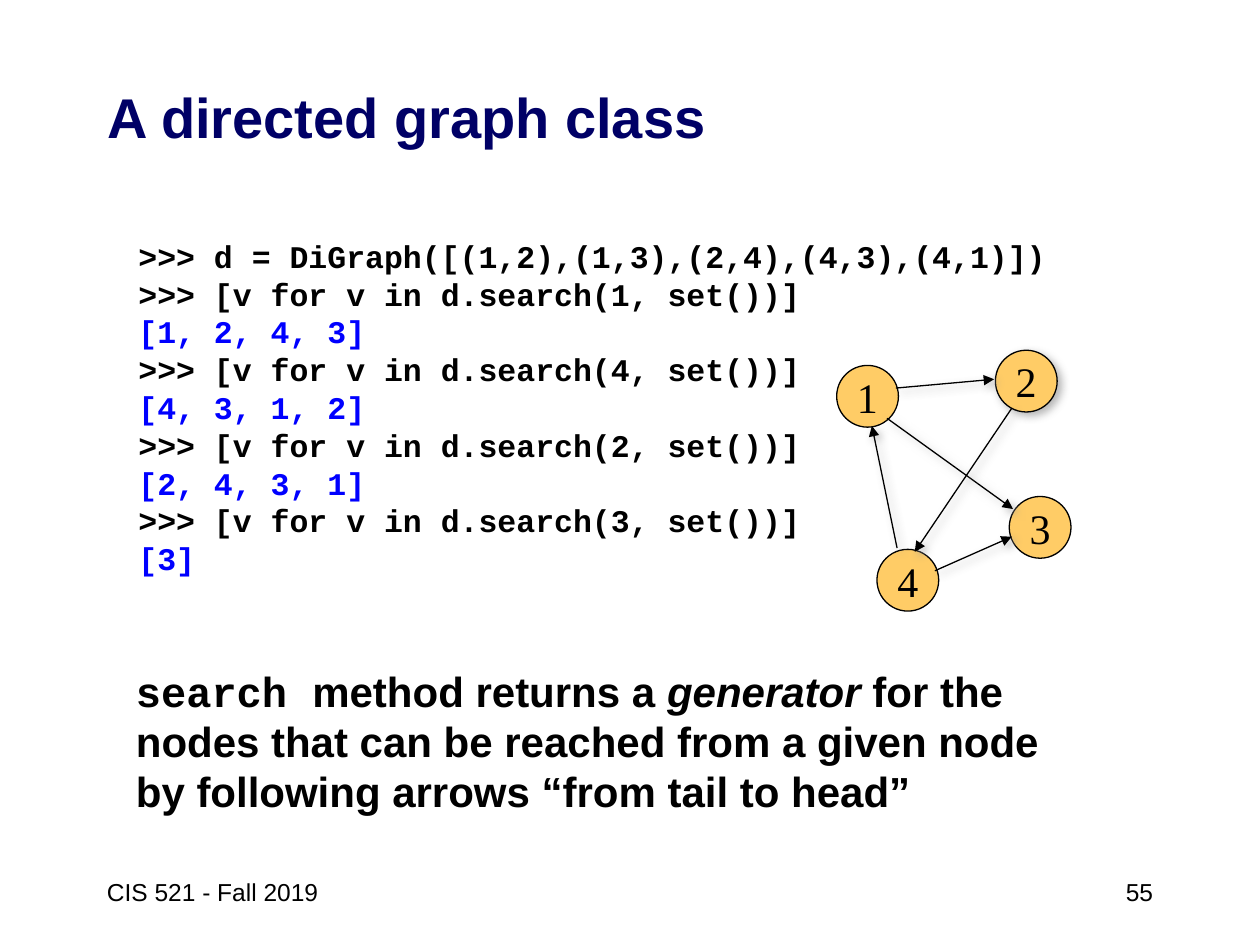
from lxml.etree import SubElement
from pptx import Presentation
from pptx.dml.color import RGBColor
from pptx.enum.shapes import MSO_CONNECTOR, MSO_SHAPE
from pptx.enum.text import MSO_ANCHOR, PP_ALIGN
from pptx.oxml import parse_xml
from pptx.oxml.ns import nsdecls, qn
from pptx.util import Inches, Pt

SHADE = (
    f'<a:effectLst {nsdecls("a")}><a:outerShdw blurRad="63500" dist="38100" '
    'dir="2700000"><a:srgbClr val="9F9F9F"><a:alpha val="75000"/></a:srgbClr>'
    "</a:outerShdw></a:effectLst>"
)
NODES = {"1": (6.64, 2.9), "3": (8.01, 3.94), "4": (6.96, 4.36), "2": (7.9, 2.78)}
EDGES = [
    (7.11, 3.08, 7.89, 3.01),
    (7.04, 3.32, 8.04, 4.04),
    (8.03, 3.24, 7.26, 4.38),
    (7.42, 4.53, 8.03, 4.26),
    (7.12, 4.35, 6.92, 3.38),
]
CODE = [
    ">>> d = DiGraph([(1,2),(1,3),(2,4),(4,3),(4,1)])",
    ">>> [v for v in d.search(1, set())]",
    "[1, 2, 4, 3]",
    ">>> [v for v in d.search(4, set())]",
    "[4, 3, 1, 2]",
    ">>> [v for v in d.search(2, set())]",
    "[2, 4, 3, 1]",
    ">>> [v for v in d.search(3, set())]",
    "[3]",
]


def color(code):
    return RGBColor.from_string(code)


def add_run(para, text, size, face="Arial", tint="000000", bold=False, slant=False):
    run = para.add_run()
    run.text = text
    font = run.font
    font.size, font.name, font.bold, font.italic = Pt(size), face, bold, slant
    font.color.rgb = color(tint)


def add_box(slide, *area):
    frame = slide.shapes.add_textbox(*map(Inches, area)).text_frame
    frame.word_wrap = True
    return frame


def add_title(slide, text):
    title = slide.shapes.title
    title.left, title.top = Inches(0.75), Inches(0.67)
    title.width, title.height = Inches(8.5), Inches(0.5)
    frame = title.text_frame
    frame.vertical_anchor = MSO_ANCHOR.MIDDLE
    para = frame.paragraphs[0]
    para.alignment = PP_ALIGN.LEFT
    add_run(para, text, 32, tint="000066", bold=True)


def add_code(slide):
    frame = add_box(slide, 1, 1.83, 7.44, 2.83)
    for i, line in enumerate(CODE):
        para = frame.add_paragraph() if i else frame.paragraphs[0]
        para.line_spacing = Pt(21.6)
        tint = "000000" if line.startswith(">") else "0000FF"
        add_run(para, line, 18, "Courier New", tint, True)


def add_note(slide):
    para = add_box(slide, 0.98, 5.23, 7.68, 1.31).paragraphs[0]
    para.line_spacing = Pt(28.8)
    add_run(para, "search ", 24, "Courier New", bold=True)
    add_run(para, "method returns a ", 24, bold=True)
    add_run(para, "generator ", 24, bold=True, slant=True)
    add_run(
        para,
        "for the nodes that can be reached from a given node "
        "by following arrows “from tail to head”",
        24,
        bold=True,
    )


def add_foot(slide, left, width, text, align):
    frame = add_box(slide, left, 6.83, width, 0.5)
    frame.vertical_anchor = MSO_ANCHOR.MIDDLE
    para = frame.paragraphs[0]
    para.alignment = align
    add_run(para, text, 14)


def add_node(slide, name, left, top):
    side = Inches(0.49)
    node = slide.shapes.add_shape(
        MSO_SHAPE.OVAL, Inches(left), Inches(top), side, side
    )
    node.shadow.inherit = False
    node.fill.solid()
    node.fill.fore_color.rgb = color("FFCC66")
    node.line.color.rgb = color("000000")
    node.line.width = Pt(0.75)
    frame = node.text_frame
    frame.word_wrap = False
    frame.vertical_anchor = MSO_ANCHOR.MIDDLE
    para = frame.paragraphs[0]
    para.alignment = PP_ALIGN.CENTER
    add_run(para, name, 24, "Times New Roman")
    return node


def add_edge(slide, *ends):
    edge = slide.shapes.add_connector(MSO_CONNECTOR.STRAIGHT, *map(Inches, ends))
    edge.line.color.rgb = color("000000")
    edge.line.width = Pt(0.75)
    line = edge.line._get_or_add_ln()
    SubElement(line, qn("a:tailEnd"), type="triangle", w="med", len="med")
    edge._element.spPr.append(parse_xml(SHADE))


def add_graph(slide):
    for name, (left, top) in NODES.items():
        node = add_node(slide, name, left, top)
    props = node._element.spPr
    props.replace(props.find(qn("a:effectLst")), parse_xml(SHADE))
    for ends in EDGES:
        add_edge(slide, *ends)


def main():
    deck = Presentation()
    deck.slide_width, deck.slide_height = Inches(10), Inches(7.5)
    slide = deck.slides.add_slide(deck.slide_layouts[5])
    add_title(slide, "A directed graph class")
    add_code(slide)
    add_graph(slide)
    add_note(slide)
    add_foot(slide, 0.75, 2.58, "CIS 521 - Fall 2019", PP_ALIGN.LEFT)
    add_foot(slide, 7.17, 2.08, "55", PP_ALIGN.RIGHT)
    deck.save("out.pptx")


if __name__ == "__main__":
    main()
